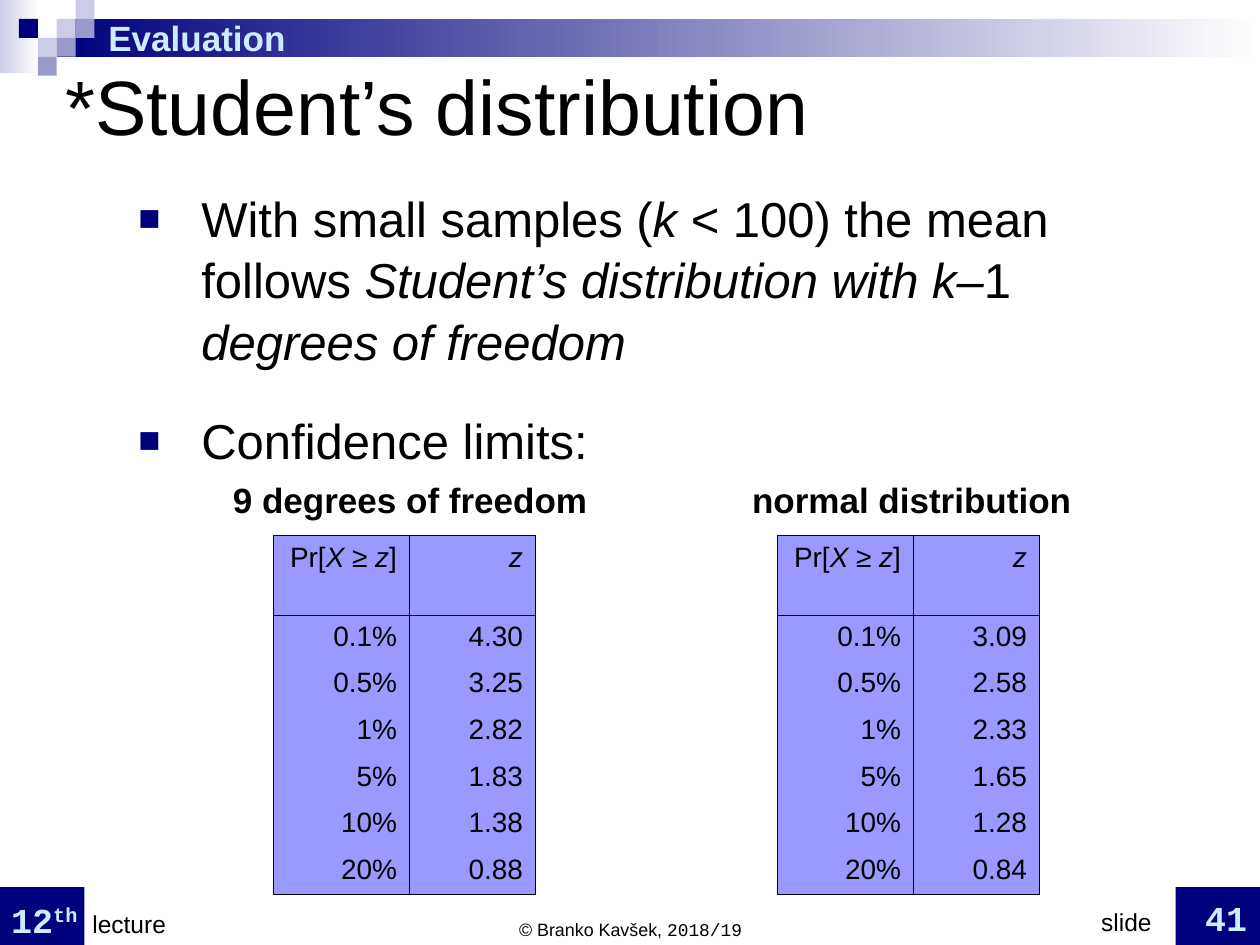
from lxml import etree
from pptx import Presentation
from pptx.dml.color import RGBColor
from pptx.enum import shapes, text
from pptx.oxml import ns
from pptx.util import Inches, Pt

NAVY, LILAC, MAUVE, ICE = "00007D", "CCCCE6", "9999CC", "CCECFF"
WHITE, BLACK, CELL = "FFFFFF", "000000", "9999FF"
SANS, MONO = "Arial", "Courier New"
LEFT, CENTER, RIGHT = text.PP_ALIGN.LEFT, text.PP_ALIGN.CENTER, text.PP_ALIGN.RIGHT
TOP, MIDDLE, BOTTOM = (text.MSO_ANCHOR.TOP, text.MSO_ANCHOR.MIDDLE,
                       text.MSO_ANCHOR.BOTTOM)
PROBABILITIES = ["0.1%", "0.5%", "1%", "5%", "10%", "20%"]
STUDENT_Z = ["4.30", "3.25", "2.82", "1.83", "1.38", "0.88"]
NORMAL_Z = ["3.09", "2.58", "2.33", "1.65", "1.28", "0.84"]


def rgb(value):
    return RGBColor.from_string(value)


def sub(parent, tag, **attrs):
    return etree.SubElement(parent, ns.qn(tag), attrs)


def add_rect(slide, x, y, w, h, *colours):
    """Borderless rectangle; two colours make a left-to-right gradient."""
    sp = slide.shapes.add_shape(shapes.MSO_SHAPE.RECTANGLE, Inches(x), Inches(y),
                                Inches(w), Inches(h))
    sp.shadow.inherit = False
    sp.line.fill.background()
    if len(colours) == 1:
        sp.fill.solid()
        sp.fill.fore_color.rgb = rgb(colours[0])
    else:
        sp.fill.gradient()
        sp.fill.gradient_angle = 0
        for stop, colour in zip(sp.fill.gradient_stops, colours):
            stop.color.rgb = rgb(colour)


def add_run(p, words, size, colour=BLACK, font=SANS, bold=False, italic=False,
            raised=False):
    r = p.add_run()
    r.text = words
    r.font.size, r.font.name = Pt(size), font
    r.font.bold, r.font.italic = bold, italic
    r.font.color.rgb = rgb(colour)
    if raised:
        r._r.get_or_add_rPr().set("baseline", "30000")


def add_alternating(p, pieces, size):
    """Upright and italic runs by turns, upright first."""
    for i, piece in enumerate(pieces):
        add_run(p, piece, size, italic=i % 2 == 1)


def add_text(slide, x, y, w, h, anchor=TOP, align=LEFT, inset=0.1, margin=0.05):
    """Empty text box; returns its first paragraph."""
    tf = slide.shapes.add_textbox(Inches(x), Inches(y), Inches(w),
                                  Inches(h)).text_frame
    tf.word_wrap = True
    tf.vertical_anchor = anchor
    tf.margin_left = Inches(inset)
    tf.margin_top = tf.margin_bottom = Inches(margin)
    p = tf.paragraphs[0]
    p.alignment = align
    return p


def add_tab(p, position, align):
    tabs = sub(p._p.get_or_add_pPr(), "a:tabLst")
    sub(tabs, "a:tab", pos=str(Inches(position)), algn=align)


def add_bullet(p):
    pPr = p._p.get_or_add_pPr()
    pPr.set("marL", str(Inches(0.5)))
    pPr.set("indent", str(Inches(-0.5)))
    sub(sub(pPr, "a:buClr"), "a:srgbClr", val=NAVY)
    sub(pPr, "a:buSzPct", val="75000")
    sub(pPr, "a:buFont", typeface=SANS)
    sub(pPr, "a:buChar", char="■")
    p.line_spacing = 1.05


def set_borders(cell, sides):
    tcPr = cell._tc.get_or_add_tcPr()
    for side in "LRTB":
        ln = sub(tcPr, "a:ln" + side, w=str(Pt(0.45)))
        if side in sides:
            sub(sub(ln, "a:solidFill"), "a:srgbClr", val=BLACK)
        else:
            sub(ln, "a:noFill")


def add_limits_table(slide, x, limits):
    rows = [(["Pr[", "X ", "≥ ", "z", "]"], ["", "z"])]
    rows += [([probability], [z]) for probability, z in zip(PROBABILITIES, limits)]
    table = slide.shapes.add_table(len(rows), 2, Inches(x), Inches(4.25),
                                   Inches(2.08), Inches(2.85)).table
    table.first_row = table.horz_banding = False
    for column, width in zip(table.columns, (1.08, 1)):
        column.width = Inches(width)
    for i, row in enumerate(rows):
        table.rows[i].height = Inches(0.37 if i else 0.63)
        sides = "LR" + "T" * (i < 2) + "B" * (i in (0, len(rows) - 1))
        for j, pieces in enumerate(row):
            cell = table.cell(i, j)
            set_borders(cell, sides)
            cell.fill.solid()
            cell.fill.fore_color.rgb = rgb(CELL)
            p = cell.text_frame.paragraphs[0]
            p.alignment = RIGHT
            add_alternating(p, [s for s in pieces] if pieces[0] else pieces, 16) \
                if pieces[0] else add_run(p, pieces[1], 16, italic=True)


def add_decoration(slide):
    for x in (9.33, 0):
        add_rect(slide, x, 7.04, 0.67, 0.46, NAVY)
    add_rect(slide, 0, 0, 0.31, 0.58, LILAC, WHITE)
    add_rect(slide, 0.45, 0.15, 9.55, 0.3, NAVY, WHITE)
    step = 0.15
    squares = [(3, 1, LILAC), (4, 0, LILAC), (4, 1, MAUVE), (2, 2, LILAC),
               (1, 1, NAVY), (3, 2, MAUVE), (2, 3, MAUVE)]
    for column, row, colour in squares:
        add_rect(slide, column * step, row * step, step, step, colour)


def add_footer(slide):
    p = add_text(slide, 3.27, 7.01, 3.47, 0.5, BOTTOM, CENTER)
    add_run(p, "© Branko Kavšek, ", 10.2)
    add_run(p, "2018/19", 10.2, font=MONO)

    p = add_text(slide, 7.68, 7, 2.33, 0.5, BOTTOM, inset=1.06)
    add_tab(p, 1.16, "r")
    add_run(p, "slide\t", 14)
    add_run(p, "41", 20, ICE, MONO, bold=True)

    p = add_text(slide, -0.01, 6.99, 2.33, 0.52, BOTTOM)
    add_run(p, "12", 20, ICE, MONO, bold=True)
    add_run(p, "th", 20, ICE, MONO, bold=True, raised=True)
    add_run(p, " ", 14, font=MONO, bold=True)
    add_run(p, "lecture", 14)


def add_body(slide):
    p = add_text(slide, 1, 1.42, 8.25, 4.5)
    tf = p._parent
    add_bullet(p)
    add_alternating(p, ["With small samples (", "k ", "< 100) the mean follows ",
                        "Student’s distribution with k–", "1",
                        " degrees of freedom"], 28)
    p = tf.add_paragraph()
    add_bullet(p)
    p.space_before = Pt(21)
    add_run(p, "Confidence limits:", 28)


def main():
    prs = Presentation()
    prs.slide_width, prs.slide_height = Inches(10), Inches(7.5)
    slide = prs.slides.add_slide(prs.slide_layouts[6])
    add_decoration(slide)
    add_run(add_text(slide, 0.59, 0.15, 6.85, 0.29, MIDDLE, inset=0.27, margin=0.01),
            "Evaluation", 20, ICE, bold=True)
    add_footer(slide)
    add_run(add_text(slide, 0.42, 0.08, 9, 1.5, MIDDLE), "*Student’s distribution", 44)
    add_body(slide)
    add_limits_table(slide, 2.17, STUDENT_Z)
    add_limits_table(slide, 6.17, NORMAL_Z)
    p = add_text(slide, 1.75, 3.75, 7.58, 1)
    add_tab(p, 4.12, "l")
    add_run(p, "9 degrees of freedom\tnormal distribution", 20, bold=True)
    prs.save("out.pptx")


if __name__ == "__main__":
    main()
